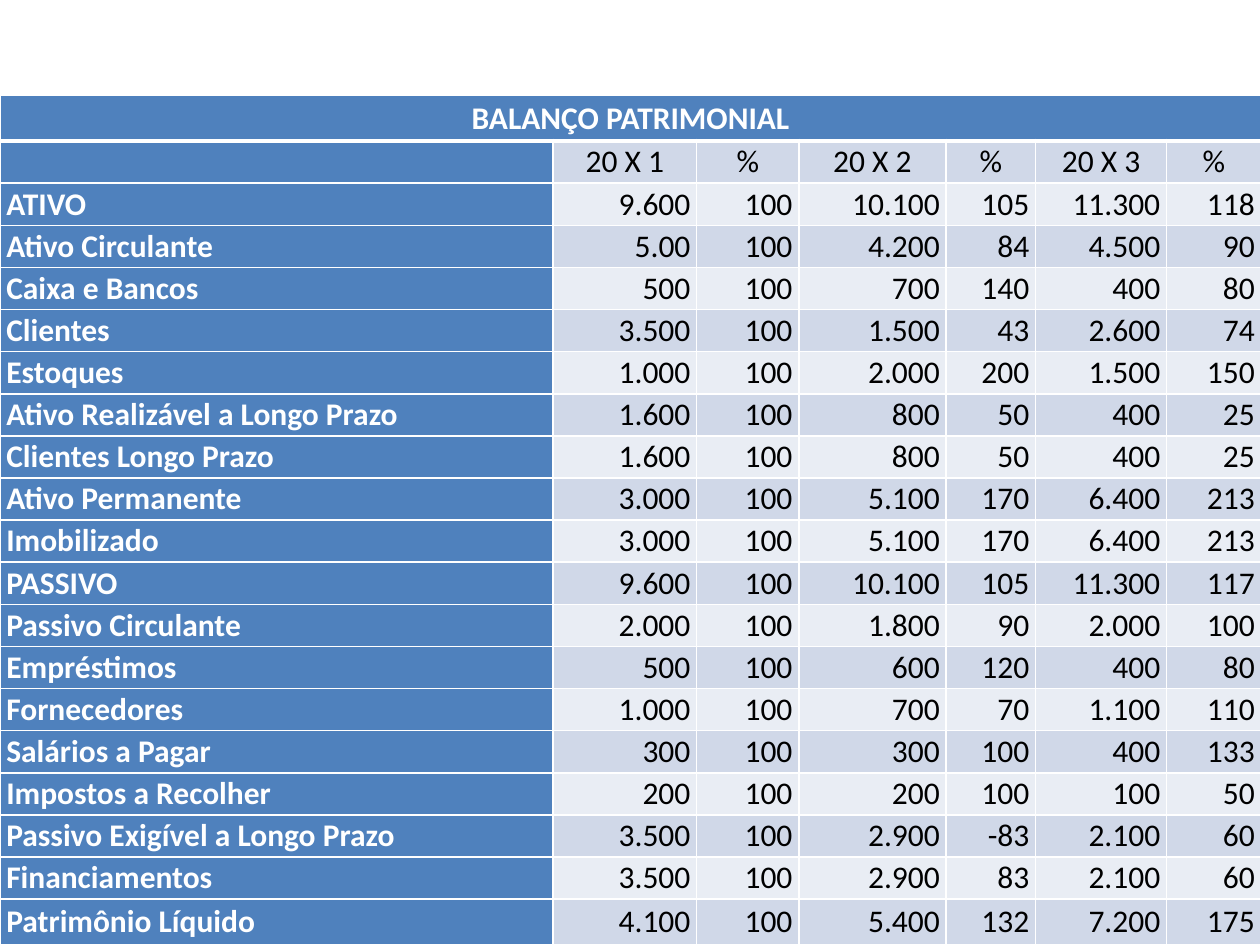
import pptx
import pptx.util
import pptx.dml.color
import pptx.enum.text
import pptx.oxml.ns
import lxml.etree

# Content
TITLE = "BALANÇO PATRIMONIAL"
HEADINGS = ["", "20 X 1", "%", "20 X 2", "%", "20 X 3", "%"]
ACCOUNTS = [
    ["ATIVO", "9.600", "100", "10.100", "105", "11.300", "118"],
    ["Ativo Circulante", "5.00", "100", "4.200", "84", "4.500", "90"],
    ["Caixa e Bancos", "500", "100", "700", "140", "400", "80"],
    ["Clientes", "3.500", "100", "1.500", "43", "2.600", "74"],
    ["Estoques", "1.000", "100", "2.000", "200", "1.500", "150"],
    ["Ativo Realizável a Longo Prazo", "1.600", "100", "800", "50", "400", "25"],
    ["Clientes Longo Prazo", "1.600", "100", "800", "50", "400", "25"],
    ["Ativo Permanente", "3.000", "100", "5.100", "170", "6.400", "213"],
    ["Imobilizado", "3.000", "100", "5.100", "170", "6.400", "213"],
    ["PASSIVO", "9.600", "100", "10.100", "105", "11.300", "117"],
    ["Passivo Circulante", "2.000", "100", "1.800", "90", "2.000", "100"],
    ["Empréstimos", "500", "100", "600", "120", "400", "80"],
    ["Fornecedores", "1.000", "100", "700", "70", "1.100", "110"],
    ["Salários a Pagar", "300", "100", "300", "100", "400", "133"],
    ["Impostos a Recolher", "200", "100", "200", "100", "100", "50"],
    ["Passivo Exigível a Longo Prazo", "3.500", "100", "2.900", "-83", "2.100", "60"],
    ["Financiamentos", "3.500", "100", "2.900", "83", "2.100", "60"],
    ["Patrimônio Líquido", "4.100", "100", "5.400", "132", "7.200", "175"],
]
ROWS = [[TITLE] + [""] * 6, HEADINGS] + ACCOUNTS

# Layout in inches
WIDTH, HEIGHT = 10, 7.5
TABLE_TOP = 0.76
COLUMN_WIDTHS = [4.39, 1.14, 0.81, 1.17, 0.71, 1.04, 0.75]
EDGE_ROW = 0.36
INNER_ROW = (HEIGHT - TABLE_TOP - 2 * EDGE_ROW) / (len(ROWS) - 2)

# Style
BLUE, WHITE, BLACK = "4F81BD", "FFFFFF", "000000"
BANDS = ["E9EDF4", "D0D8E8"]
ALIGN = pptx.enum.text.PP_ALIGN


def color(value):
    return pptx.dml.color.RGBColor.from_string(value)


def add_borders(cell, widths):
    properties = cell._tc.get_or_add_tcPr()
    name = pptx.oxml.ns.qn
    for side, width in widths.items():
        line = lxml.etree.SubElement(properties, name("a:ln" + side), w=str(pptx.util.Pt(width)))
        fill = lxml.etree.SubElement(line, name("a:solidFill"))
        lxml.etree.SubElement(fill, name("a:srgbClr"), val=WHITE)


def style_cell(cell, text, row, column):
    is_label = row == 0 or column == 0
    # A thick rule parts the title from the rest
    add_borders(cell, {"L": 1, "R": 1, "T": 3 if row == 1 else 1, "B": 3 if row == 0 else 1})
    cell.fill.solid()
    cell.fill.fore_color.rgb = color(BLUE if is_label else BANDS[row % 2])
    cell.margin_left = cell.margin_right = pptx.util.Inches(0.05)
    cell.margin_top = cell.margin_bottom = 0
    cell.vertical_anchor = pptx.enum.text.MSO_ANCHOR.MIDDLE
    if not text:
        return
    para = cell.text_frame.paragraphs[0]
    if row < 2:
        para.alignment = ALIGN.CENTER
    else:
        para.alignment = ALIGN.JUSTIFY if is_label else ALIGN.RIGHT
    span = para.add_run()
    span.text = text
    span.font.name = "Calibri"
    span.font.size = pptx.util.Pt(18)
    span.font.bold = is_label
    span.font.color.rgb = color(WHITE if is_label else BLACK)


def main():
    deck = pptx.Presentation()
    deck.slide_width = pptx.util.Inches(WIDTH)
    deck.slide_height = pptx.util.Inches(HEIGHT)
    page = deck.slides.add_slide(deck.slide_layouts[6])

    # Balance sheet table
    table = page.shapes.add_table(
        len(ROWS), len(COLUMN_WIDTHS), 0, pptx.util.Inches(TABLE_TOP),
        deck.slide_width, pptx.util.Inches(HEIGHT - TABLE_TOP)).table
    for column, width in zip(table.columns, COLUMN_WIDTHS):
        column.width = pptx.util.Inches(width)
    for index, texts in enumerate(ROWS):
        is_edge = index in (0, len(ROWS) - 1)
        table.rows[index].height = pptx.util.Inches(EDGE_ROW if is_edge else INNER_ROW)
        for column, text in enumerate(texts):
            style_cell(table.cell(index, column), text, index, column)
    table.cell(0, 0).merge(table.cell(0, len(COLUMN_WIDTHS) - 1))

    deck.save("out.pptx")


if __name__ == "__main__":
    main()
